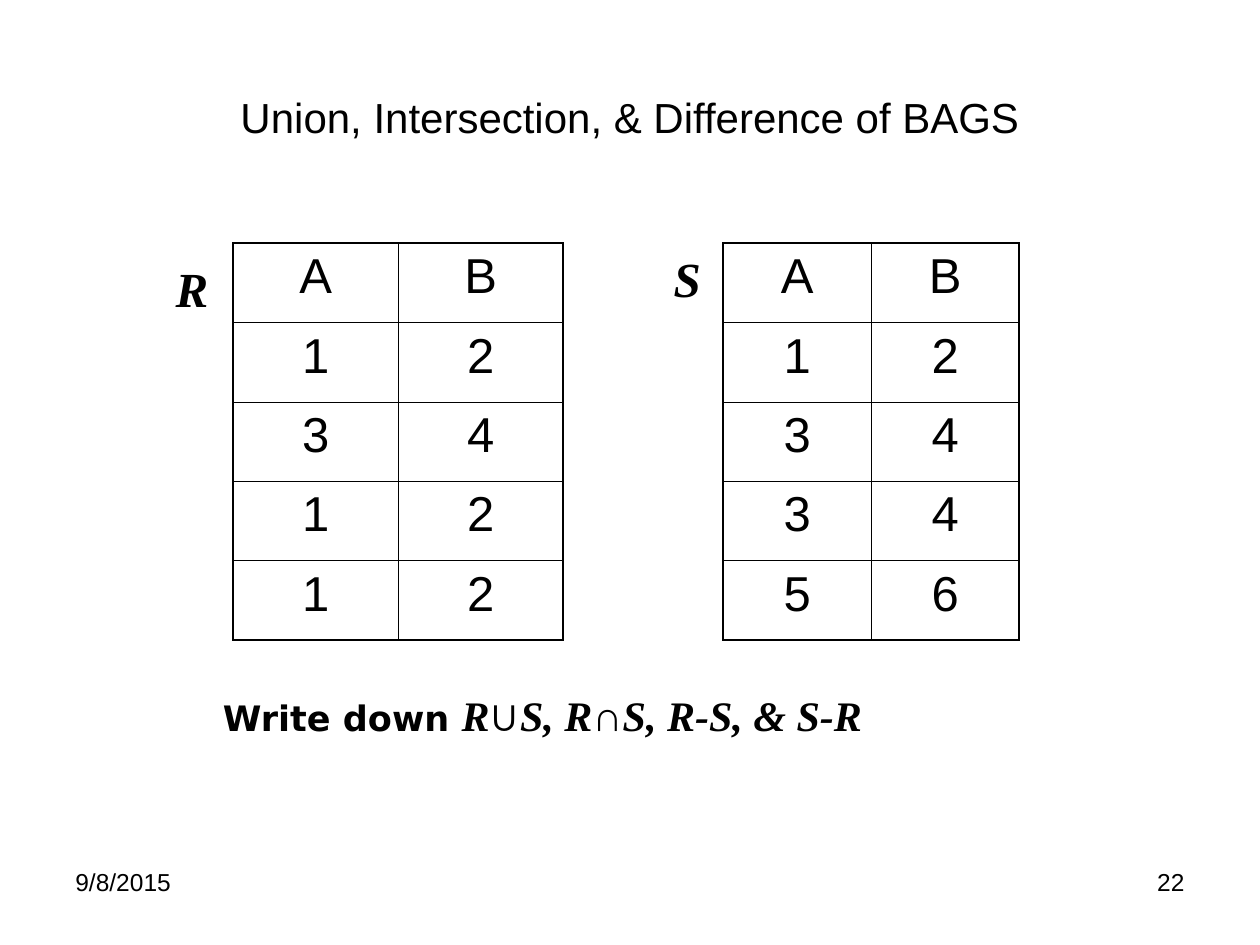
from lxml.etree import SubElement
from pptx import Presentation
from pptx.dml.color import RGBColor as RGB
from pptx.enum.text import MSO_ANCHOR as Anchor, MSO_AUTO_SIZE as Fit, PP_ALIGN as Align
from pptx.oxml.ns import qn
from pptx.util import Inches, Pt

COLORS = {"ink": "000000", "page": "FFFFFF"}
SANS, SERIF, HEAVY = "Arial", "Times New Roman", "DejaVu Sans"
THIN, THICK = 0.45, 1.08
ROW = 0.63


def add_run(para, text, size, font=SANS, bold=False, italic=False):
    run = para.add_run()
    run.text = text
    face = run.font
    face.name, face.size = font, Pt(size)
    face.bold, face.italic = bold, italic
    face.color.rgb = RGB.from_string(COLORS["ink"])


def add_text(slide, box, runs, align=Align.LEFT, before=0, grow=False):
    frame = slide.shapes.add_textbox(*map(Inches, box)).text_frame
    frame.word_wrap = True
    frame.auto_size = Fit.SHAPE_TO_FIT_TEXT if grow else Fit.NONE
    para = frame.paragraphs[0]
    para.alignment, para.space_before = align, Pt(before)
    for run in runs:
        add_run(para, *run)


def add_title(slide, text):
    title = slide.shapes.title
    title.left, title.top, title.width, title.height = map(Inches, (0.5, 0.3, 9, 1.25))
    frame = title.text_frame
    frame.vertical_anchor, frame.auto_size = Anchor.MIDDLE, Fit.NONE
    para = frame.paragraphs[0]
    para.alignment = Align.CENTER
    add_run(para, text, 24)


def set_edges(cell, edges):
    props = cell._tc.get_or_add_tcPr()
    for spot, (side, width) in enumerate(edges.items()):
        line = SubElement(props, qn(f"a:ln{side}"), w=str(Pt(width)))
        fill = SubElement(line, qn("a:solidFill"))
        SubElement(fill, qn("a:srgbClr"), val=COLORS["ink"])
        props.insert(spot, line)  # borders come before the fill


def add_grid(slide, left, width, rows):
    high, wide = len(rows), len(rows[0])
    size = map(Inches, (left, 1.93, width, ROW * high))
    table = slide.shapes.add_table(high, wide, *size).table
    table.first_row = table.horz_banding = False
    for r, row in enumerate(rows):
        table.rows[r].height = Inches(ROW)
        for c, text in enumerate(row):
            cell = table.cell(r, c)
            cell.fill.background()
            para = cell.text_frame.paragraphs[0]
            para.alignment, para.space_before = Align.CENTER, Pt(7)
            add_run(para, text, 28)
            # Thick outer frame, thin inner lines
            outer = {"L": c == 0, "R": c == wide - 1, "T": r == 0, "B": r == high - 1}
            set_edges(cell, {k: THICK if out else THIN for k, out in outer.items()})


def main():
    deck = Presentation()
    deck.slide_width, deck.slide_height = Inches(10), Inches(7.5)
    slide = deck.slides.add_slide(deck.slide_layouts[5])
    fill = slide.background.fill
    fill.solid()
    fill.fore_color.rgb = RGB.from_string(COLORS["page"])
    add_title(slide, "Union, Intersection, & Difference of BAGS")

    # The two bags
    add_grid(slide, 1.85, 2.62, ["AB", "12", "34", "12", "12"])
    add_grid(slide, 5.74, 2.35, ["AB", "12", "34", "34", "56"])
    for name, left, top in (("R", 1.17, 2), ("S", 5.08, 1.92)):
        add_text(slide, (left, top, 0.58, 0.57), [(name, 28, SERIF, True, True)],
                 Align.RIGHT, 17.5, True)

    # Exercise
    task = [("Write down ", 20, HEAVY, True)]
    for part in ("R", "∪", "S, R", "∩", "S, R-S, & S-R"):
        sign = part in "∪∩"
        task.append((part, 24, SANS if sign else SERIF, True, not sign))
    add_text(slide, (1.67, 5.42, 6.75, 0.5), task, before=6, grow=True)

    # Footer
    add_text(slide, (7.17, 6.83, 2.33, 0.52), [("22", 14)], Align.RIGHT)
    add_text(slide, (0.5, 6.83, 2.33, 0.52), [("9/8/2015", 14)])
    deck.save("out.pptx")


if __name__ == "__main__":
    main()
